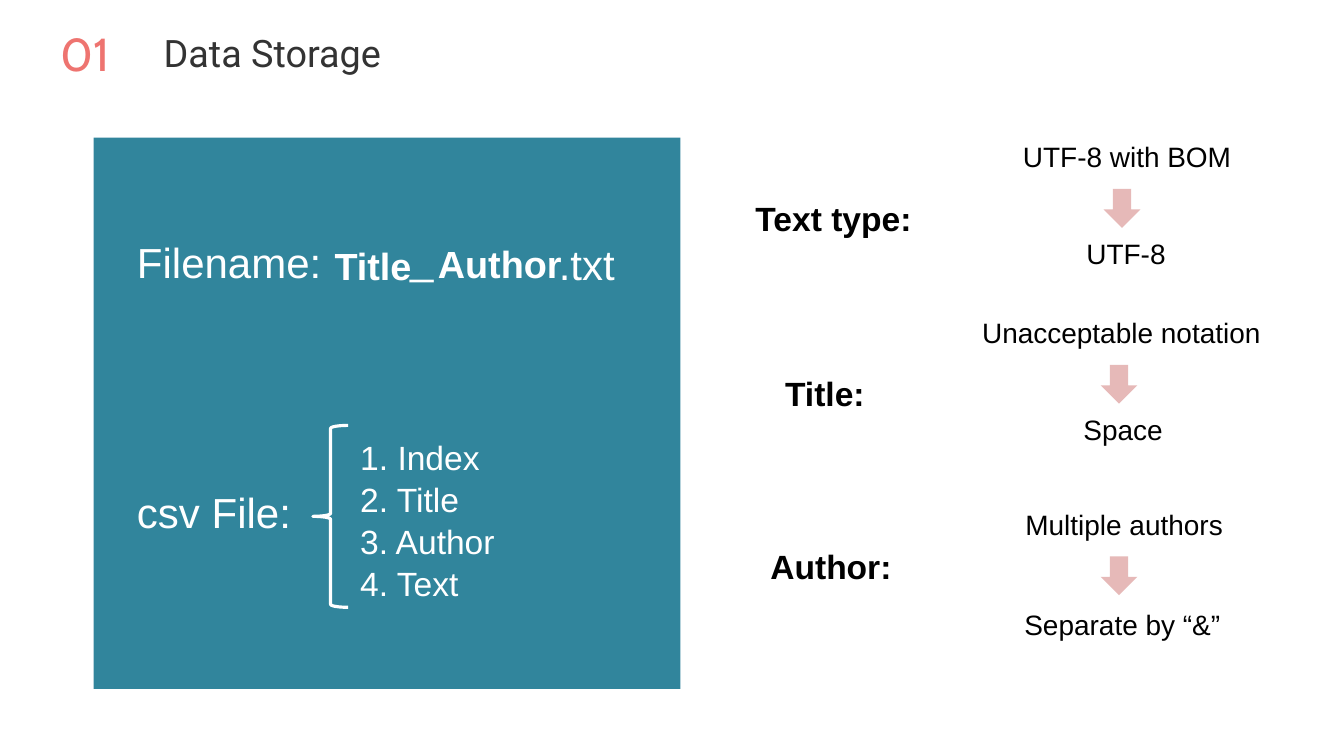
"""Build the Data Storage slide: file naming on a panel, clean-up rules beside it."""
from pptx import Presentation
from pptx.dml.color import RGBColor
from pptx.enum import shapes, text
from pptx.util import Inches, Pt

COLORS = {"panel": "31859C", "arrow": "E6B9B8", "number": "EE7470",
          "title": "333333", "light": "FFFFFF", "dark": "000000"}
LEFT, CENTER = text.PP_ALIGN.LEFT, text.PP_ALIGN.CENTER

PANEL = (1.86, 2.73, 11.64, 10.94)
BRACE = (6.21, 8.44, 0.7, 3.61)
PANEL_TEXTS = [
    ("Filename:", (2.62, 4.65, 4.28, 1.11), 60, False),
    ("_", (8.04, 4.57, 1.28, 1.11), 60, False),
    (".txt", (10.99, 4.69, 1.64, 1.11), 60, False),
    ("csv File:", (2.62, 9.61, 3.71, 1.11), 60, False),
    ("Title", (6.54, 4.76, 1.9, 1.01), 54, True),
    ("Author", (8.59, 4.73, 2.92, 1.01), 54, True),
]
CSV_COLUMNS = ["Index", "Title", "Author", "Text"]
RULES = [
    {"label": ("Text type:", 14.73, 3.88, 3.62),
     "before": ("UTF-8 with BOM", 19.45, 2.72, 5.83, CENTER),
     "after": ("UTF-8", 21.46, 4.64, 1.81, LEFT), "arrow": (21.9, 3.75)},
    {"label": ("Title:", 14.84, 7.34, 3.06),
     "before": ("Unacceptable notation", 19.39, 6.22, 5.83, LEFT),
     "after": ("Space", 21.4, 8.13, 1.81, LEFT), "arrow": (21.84, 7.24)},
    {"label": ("Author:", 14.96, 10.79, 3.06),
     "before": ("Multiple authors", 19.39, 10.02, 5.83, CENTER),
     "after": ("Separate by “&”", 18.78, 12, 6.98, CENTER), "arrow": (21.84, 11.04)},
]


def rgb(name):
    return RGBColor.from_string(COLORS[name])


def write(shape, words, size, color, align=LEFT, bold=False, font="Arial", spacing=None):
    frame = shape.text_frame
    frame.text = words
    frame.word_wrap = True
    frame.auto_size = text.MSO_AUTO_SIZE.NONE
    frame.vertical_anchor = text.MSO_ANCHOR.TOP
    for paragraph in frame.paragraphs:
        paragraph.alignment = align
        paragraph.line_spacing = spacing
        for run in paragraph.runs:
            run.font.name = font
            run.font.size = Pt(size)
            run.font.bold = bold
            run.font.color.rgb = rgb(color)


def add_text(slide, box, *args, **kwargs):
    write(slide.shapes.add_textbox(*map(Inches, box)), *args, **kwargs)


def add_shape(slide, kind, box, fill=None, line=None):
    shape = slide.shapes.add_shape(kind, *map(Inches, box))
    shape.shadow.inherit = False
    if fill:
        shape.fill.solid()
        shape.fill.fore_color.rgb = rgb(fill)
    else:
        shape.fill.background()
    if line:
        shape.line.color.rgb = rgb(line)
        shape.line.width = Pt(4.5)
    else:
        shape.line.fill.background()


def add_heading(slide):
    title = slide.shapes.title
    title.left, title.top, title.width, title.height = map(Inches, (1.27, 0.45, 8.27, 1.02))
    write(title, "Data Storage", 54, "title", CENTER, font="Roboto", spacing=1.1)
    add_text(slide, (0.74, 0.35, 1.9, 1.43), "01", 66, "number", CENTER,
             font="Cabin", spacing=1.1)


def add_panel(slide):
    add_shape(slide, shapes.MSO_SHAPE.RECTANGLE, PANEL, fill="panel")
    for words, box, size, bold in PANEL_TEXTS:
        add_text(slide, box, words, size, "light", bold=bold)
    columns = "\n".join(f"{number}. {name}" for number, name in enumerate(CSV_COLUMNS, 1))
    add_text(slide, (7.05, 8.59, 3.71, 3.46), columns, 48, "light", spacing=1.04)
    add_shape(slide, shapes.MSO_SHAPE.LEFT_BRACE, BRACE, line="light")


def add_rule(slide, rule):
    words, left, top, width = rule["label"]
    add_text(slide, (left, top, width, 0.91), words, 48, "dark", CENTER, bold=True)
    for step in ("before", "after"):
        words, left, top, width, align = rule[step]
        add_text(slide, (left, top, width, 0.77), words, 40, "dark", align)
    add_shape(slide, shapes.MSO_SHAPE.DOWN_ARROW, (*rule["arrow"], 0.73, 0.77), fill="arrow")


def main():
    presentation = Presentation()
    presentation.slide_width, presentation.slide_height = Inches(26.67), Inches(15)
    slide = presentation.slides.add_slide(presentation.slide_layouts[5])
    add_heading(slide)
    add_panel(slide)
    for rule in RULES:
        add_rule(slide, rule)
    presentation.save("out.pptx")


if __name__ == "__main__":
    main()
